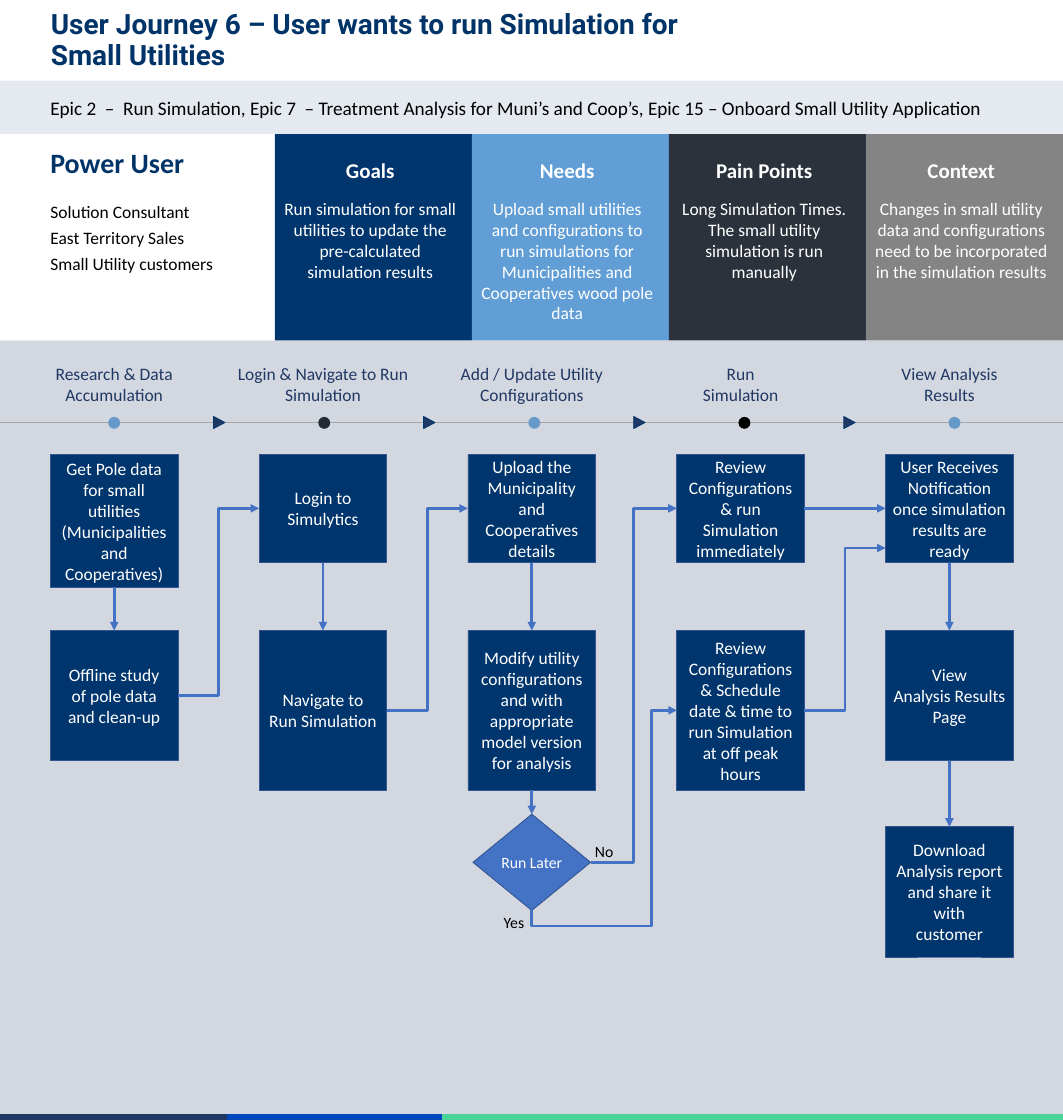
from dataclasses import dataclass

from lxml.etree import SubElement
from pptx import Presentation
from pptx.dml.color import RGBColor
from pptx.enum.shapes import MSO_CONNECTOR, MSO_SHAPE
from pptx.enum.text import MSO_ANCHOR, PP_ALIGN
from pptx.oxml.ns import qn
from pptx.util import Inches, Pt


@dataclass(frozen=True)
class Theme:
    body_font: str = "Calibri"
    title_font: str = "Roboto"
    title_size: int = 32
    heading_size: int = 24
    epic_size: int = 22
    body_size: int = 20
    small_size: int = 18
    navy: str = "00366D"
    title_blue: str = "003468"
    panel_blue: str = "203864"
    sky: str = "5B9BD5"
    soft_blue: str = "6799C8"
    charcoal: str = "232A33"
    gray: str = "808080"
    rule_gray: str = "A6A6A6"
    arrow_blue: str = "4472C4"
    outline: str = "325491"
    stripe_blue: str = "0047BB"
    stripe_green: str = "48D597"
    white: str = "FFFFFF"
    black: str = "000000"


THEME = Theme()

# Grid in inches: five journey columns, three flow rows, four persona cards
WIDTH, HEIGHT = 16.9, 17.8
MARGIN = 0.8
COLUMN_STEP, BOX_WIDTH = 3.32, 2.03
MARKER_STEP = 3.34
ROW_TOPS = (7.22, 10.02, 13.14)
CARD_LEFT, CARD_TOP, CARD_HEIGHT = 4.37, 2.13, 3.28
CARD_STEP = (WIDTH - CARD_LEFT) / 4
TIMELINE = 6.72


def column_center(column, step=COLUMN_STEP):
    return MARGIN + BOX_WIDTH / 2 + column * step


def color(value):
    return RGBColor.from_string(value)


def write(shape, text, size=THEME.body_size, ink=THEME.white, font=THEME.body_font,
          bold=False, align=PP_ALIGN.CENTER, anchor=MSO_ANCHOR.TOP, wrap=True,
          margins=(0.1, 0.05, 0.1, 0.05), space_after=0, line_spacing=None):
    frame = shape.text_frame
    frame.word_wrap = wrap
    frame.vertical_anchor = anchor
    (frame.margin_left, frame.margin_top,
     frame.margin_right, frame.margin_bottom) = map(Inches, margins)
    frame.text = text
    for paragraph in frame.paragraphs:
        paragraph.alignment = align
        paragraph.space_after = Pt(space_after)
        if line_spacing:
            paragraph.line_spacing = line_spacing
        for run in paragraph.runs:
            run.font.name, run.font.size, run.font.bold = font, Pt(size), bold
            run.font.color.rgb = color(ink)


def add_label(slide, text, left, top, width, height, **formatting):
    box = slide.shapes.add_textbox(*map(Inches, (left, top, width, height)))
    write(box, text, **formatting)


def add_block(slide, left, top, width, height, fill, kind=MSO_SHAPE.RECTANGLE,
              line=None, opacity=None):
    shape = slide.shapes.add_shape(kind, *map(Inches, (left, top, width, height)))
    shape.shadow.inherit = False
    shape.fill.solid()
    shape.fill.fore_color.rgb = color(fill)
    if opacity:
        fill_color = shape._element.spPr.find(qn("a:solidFill"))[0]
        SubElement(fill_color, qn("a:alpha"), val=str(opacity * 1000))
    if line:
        shape.line.color.rgb = color(line)
        shape.line.width = Pt(1)
    else:
        shape.line.fill.background()
    return shape


def add_step(slide, column, row, height, text):
    left = MARGIN + column * COLUMN_STEP
    box = add_block(slide, left, ROW_TOPS[row], BOX_WIDTH, height, THEME.navy, line=THEME.outline)
    write(box, text, anchor=MSO_ANCHOR.MIDDLE)
    return box


def add_line(slide, begin, end, kind=MSO_CONNECTOR.STRAIGHT, ink=THEME.arrow_blue,
             width=3.25, arrow=True):
    connector = slide.shapes.add_connector(kind, *map(Inches, begin + end))
    connector.line.color.rgb = color(ink)
    connector.line.width = Pt(width)
    if arrow:
        SubElement(connector.line._get_or_add_ln(), qn("a:tailEnd"), type="triangle")
    SubElement(connector._element.spPr, qn("a:effectLst"))
    return connector


def join(slide, source, source_side, target, target_side, kind=MSO_CONNECTOR.STRAIGHT):
    connector = add_line(slide, (0, 0), (1, 1), kind)
    connector.begin_connect(source, source_side)
    connector.end_connect(target, target_side)


def add_elbow_below(slide, begin, end):
    """Leave downwards, turn right, climb, and enter the target from the left."""
    run, rise = end[0] - begin[0], begin[1] - end[1]
    middle_x, middle_y = (begin[0] + end[0]) / 2, (begin[1] + end[1]) / 2
    connector = add_line(slide, (middle_x + rise / 2, middle_y + run / 2),
                         (middle_x - rise / 2, middle_y - run / 2), MSO_CONNECTOR.ELBOW)
    properties = connector._element.spPr
    properties.find(qn("a:xfrm")).set("rot", "5400000")
    geometry = properties.find(qn("a:prstGeom"))
    geometry.set("prst", "bentConnector4")
    adjustments = geometry.find(qn("a:avLst"))
    for name, value in (("adj1", -7800), ("adj2", 82700)):
        SubElement(adjustments, qn("a:gd"), name=name, fmla=f"val {value}")


def add_frame(slide):
    # Journey panel is tinted in two translucent layers
    panel_top = CARD_TOP + CARD_HEIGHT
    for _ in range(2):
        add_block(slide, 0, panel_top, WIDTH, HEIGHT - panel_top, THEME.panel_blue, opacity=10)
    add_block(slide, 0, 1.28, WIDTH, 0.86, THEME.navy, opacity=10)
    # Bottom stripe
    for left, right, fill in ((7.02, WIDTH, THEME.stripe_green), (3.42, 7.02, THEME.stripe_blue),
                              (0, 3.6, THEME.panel_blue)):
        add_block(slide, left, 17.71, right - left, HEIGHT - 17.71, fill, line=fill)
    # Title and epics
    add_label(slide, "User Journey 6 – User wants to run Simulation for\vSmall Utilities",
              0.71, 0.2, 12.69, 0.9, size=THEME.title_size, ink=THEME.title_blue,
              font=THEME.title_font, bold=True, align=PP_ALIGN.LEFT,
              anchor=MSO_ANCHOR.MIDDLE, line_spacing=0.9)
    add_label(slide, "Epic 2  –  Run Simulation, Epic 7  – Treatment Analysis for Muni’s and "
              "Coop’s, Epic 15 – Onboard Small Utility Application", MARGIN, 1.48, 15.23, 0.47,
              size=THEME.epic_size, ink=THEME.black, align=PP_ALIGN.LEFT,
              margins=(0, 0.05, 0.1, 0.05))


def add_persona(slide):
    add_block(slide, 0, CARD_TOP, CARD_LEFT, CARD_HEIGHT, THEME.white)
    left_text = dict(align=PP_ALIGN.LEFT, margins=(0, 0.05, 0.1, 0.05))
    add_label(slide, "Power User", MARGIN, 2.26, 2.93, 0.64, size=THEME.title_size,
              ink=THEME.title_blue, bold=True, **left_text)
    add_label(slide, "Solution Consultant\nEast Territory Sales\nSmall Utility customers",
              MARGIN, 3.14, 3.4, 1.28, ink=THEME.black, space_after=6, **left_text)
    cards = (
        ("Goals", THEME.navy, None, "Run simulation for small utilities to update the "
         "pre-calculated simulation results"),
        ("Needs", THEME.sky, 96, "Upload small utilities and configurations to run simulations "
         "for Municipalities and Cooperatives wood pole data"),
        ("Pain Points", THEME.charcoal, 96, "Long Simulation Times. The small utility "
         "simulation is run manually"),
        ("Context", THEME.gray, 96, "Changes in small utility data and configurations need to "
         "be incorporated in the simulation results"),
    )
    for index, (heading, fill, opacity, text) in enumerate(cards):
        left = CARD_LEFT + index * CARD_STEP
        add_block(slide, left, CARD_TOP, CARD_STEP, CARD_HEIGHT, fill, opacity=opacity)
        add_label(slide, heading, left + 0.09, 2.5, 2.85, 0.4, size=THEME.heading_size,
                  bold=True, anchor=MSO_ANCHOR.MIDDLE, margins=(0, 0, 0, 0))
        add_label(slide, text, left + 0.09, 3.14, 2.85, 2.02, margins=(0, 0, 0, 0))


def add_timeline(slide):
    add_line(slide, (0, TIMELINE), (WIDTH, TIMELINE), ink=THEME.rule_gray, width=1.5, arrow=False)
    stages = (("Research & Data Accumulation", THEME.soft_blue),
              ("Login & Navigate to Run Simulation", THEME.charcoal),
              ("Add / Update Utility Configurations", THEME.soft_blue),
              ("Run\nSimulation", THEME.black), ("View Analysis\nResults", THEME.soft_blue))
    mark = 0.19
    for column, (name, fill) in enumerate(stages):
        add_label(slide, name, column_center(column) - 2.91 / 2, 5.72, 2.91, 0.77,
                  ink=THEME.panel_blue)
        left, top = column_center(column, MARKER_STEP) - mark / 2, TIMELINE - mark / 2
        add_block(slide, left, top, mark, mark, fill, MSO_SHAPE.OVAL)
        if column < len(stages) - 1:
            pointer = add_block(slide, left + MARKER_STEP / 2, top, mark, 0.18, THEME.panel_blue,
                                MSO_SHAPE.ISOSCELES_TRIANGLE, line=THEME.navy)
            pointer.rotation = 90


def add_flow(slide):
    # Steps
    get_data = add_step(slide, 0, 0, 2.11, "Get Pole data for small utilities "
                        "(Municipalities and Cooperatives)")
    clean_up = add_step(slide, 0, 1, 2.07, "Offline study\nof pole data\nand clean-up")
    login = add_step(slide, 1, 0, 1.72, "Login to\nSimulytics")
    navigate = add_step(slide, 1, 1, 2.54, "Navigate to\nRun Simulation")
    upload = add_step(slide, 2, 0, 1.72, "Upload the Municipality and Cooperatives details")
    modify = add_step(slide, 2, 1, 2.54, "Modify utility configurations and with appropriate "
                      "model version for analysis")
    run_now = add_step(slide, 3, 0, 1.72, "Review Configurations & run Simulation immediately")
    schedule = add_step(slide, 3, 1, 2.54, "Review Configurations & Schedule date & time to run "
                        "Simulation at off peak hours")
    notify = add_step(slide, 4, 0, 1.72, "User Receives Notification once simulation results "
                      "are ready")
    view = add_step(slide, 4, 1, 2.07, "View\nAnalysis Results Page")
    download = add_step(slide, 4, 2, 2.07, "Download\nAnalysis report and share it with\ncustomer")

    # Decision
    center = column_center(2)
    decision = add_block(slide, center - 1.87 / 2, 12.94, 1.87, 1.53, THEME.arrow_blue,
                         MSO_SHAPE.DIAMOND, line=THEME.outline)
    write(decision, "Run Later", size=THEME.small_size, anchor=MSO_ANCHOR.MIDDLE, wrap=False)
    for answer, left, top in (("No", 9.36, 13.33), ("Yes", 7.91, 14.46)):
        add_label(slide, answer, left, top, 0.58, 0.4, size=THEME.small_size,
                  ink=THEME.black, align=PP_ALIGN.LEFT)

    # Arrows
    for upper, lower in ((get_data, clean_up), (login, navigate), (upload, modify),
                         (modify, decision), (notify, view), (view, download)):
        join(slide, upper, 2, lower, 0)
    join(slide, run_now, 3, notify, 1)
    for source, target in ((clean_up, login), (navigate, upload), (decision, run_now)):
        join(slide, source, 3, target, 1, MSO_CONNECTOR.ELBOW)
    schedule_left = MARGIN + 3 * COLUMN_STEP
    schedule_middle = ROW_TOPS[1] + 2.54 / 2
    late_run = add_line(slide, (schedule_left + BOX_WIDTH, schedule_middle),
                        (MARGIN + 4 * COLUMN_STEP, 8.71), MSO_CONNECTOR.ELBOW)
    late_run.begin_connect(schedule, 3)
    add_elbow_below(slide, (center, 14.47), (schedule_left, schedule_middle))


def main():
    presentation = Presentation()
    presentation.slide_width, presentation.slide_height = Inches(WIDTH), Inches(HEIGHT)
    slide = presentation.slides.add_slide(presentation.slide_layouts[6])
    add_frame(slide)
    add_persona(slide)
    add_timeline(slide)
    add_flow(slide)
    presentation.save("out.pptx")


if __name__ == "__main__":
    main()
